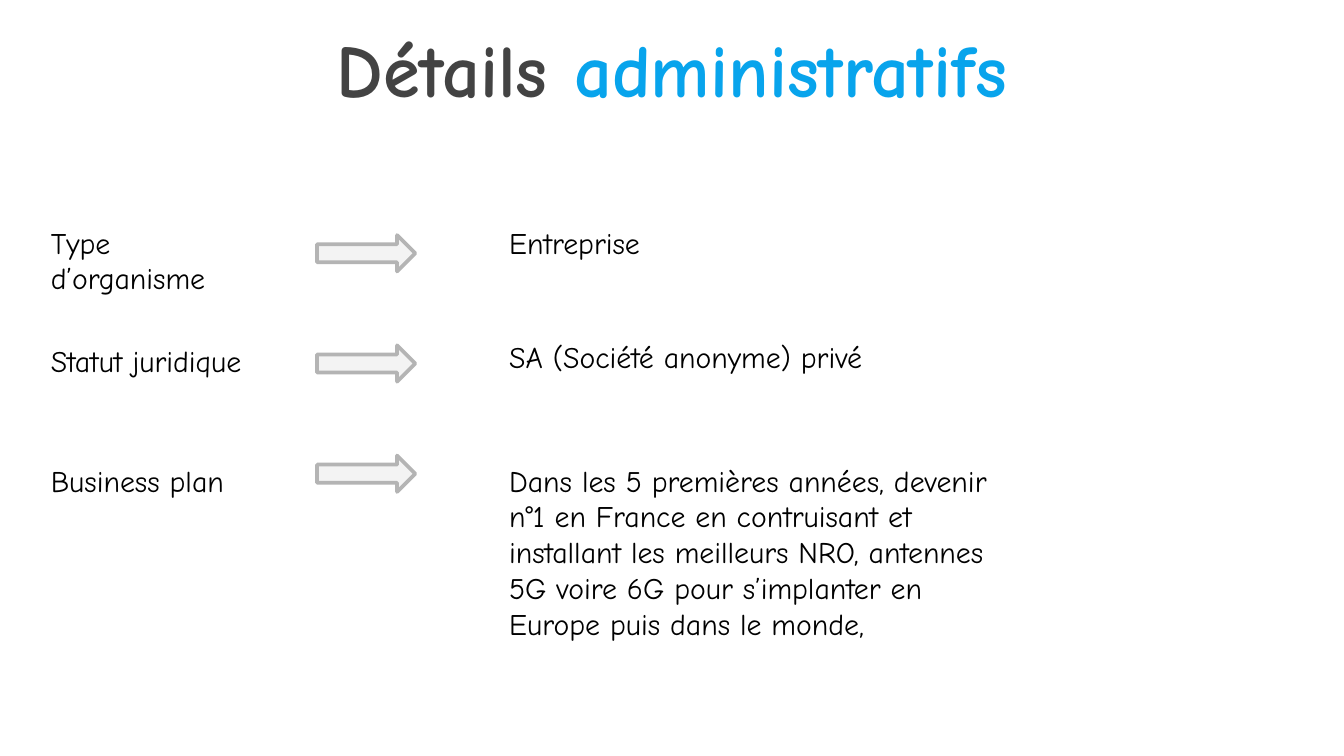
from dataclasses import dataclass

import pptx
import pptx.dml.color
import pptx.enum.shapes
import pptx.enum.text
import pptx.util

Inches = pptx.util.Inches
Pt = pptx.util.Pt
RGB = pptx.dml.color.RGBColor.from_string

# Content: title runs, then (label, label top, value, value top, width, height)
TITLE = [("Détails ", "title"), ("administratifs", "accent")]
ROWS = [
    ("Type d’organisme", 1.62, "Entreprise", 1.62, 2.07, 0.37),
    ("Statut juridique", 2.5, "SA (Société anonyme) privé", 2.47, 3.21, 0.37),
    ("Business plan", 3.39,
     "Dans les 5 premières années, devenir n°1 en France en contruisant et "
     "installant les meilleurs NRO, antennes 5G voire 6G pour s’implanter en "
     "Europe puis dans le monde,", 3.39, 3.83, 1.18),
]


@dataclass(frozen=True)
class Theme:
    font: str = "Comic Neue"
    title: str = "434343"
    accent: str = "08A4EC"
    text: str = "000000"
    arrow_fill: str = "F3F3F3"
    arrow_line: str = "B4B4B4"
    title_size: int = 40
    text_size: int = 16


THEME = Theme()
LABEL_X, LABEL_W, LABEL_H = 0.28, 1.74, 0.37
ARROW_X, ARROW_W, ARROW_H = 2.36, 0.73, 0.27
ARROW_TOP, ARROW_STEP = 1.75, 0.82
VALUE_X = 3.69


def add_text(slide, box, runs, size):
    sp = slide.shapes.add_textbox(*map(Inches, box))
    tf = sp.text_frame
    tf.word_wrap = True
    p = tf.paragraphs[0]
    p.font.name = THEME.font
    p.font.size = Pt(size)
    for text, color in runs:
        r = p.add_run()
        r.text = text
        r.font.color.rgb = RGB(getattr(THEME, color))
    return tf


def add_body(slide, box, text):
    tf = add_text(slide, box, [(text, "text")], THEME.text_size)
    tf.auto_size = pptx.enum.text.MSO_AUTO_SIZE.SHAPE_TO_FIT_TEXT


def add_arrow(slide, top):
    sp = slide.shapes.add_shape(
        pptx.enum.shapes.MSO_SHAPE.RIGHT_ARROW,
        *map(Inches, (ARROW_X, top, ARROW_W, ARROW_H)))
    sp.shadow.inherit = False
    sp.fill.solid()
    sp.fill.fore_color.rgb = RGB(THEME.arrow_fill)
    sp.line.color.rgb = RGB(THEME.arrow_line)
    sp.line.width = Pt(2)


def main():
    prs = pptx.Presentation()
    prs.slide_width = Inches(10)
    prs.slide_height = prs.slide_width * 9 // 16
    slide = prs.slides.add_slide(prs.slide_layouts[6])

    # Title
    tf = add_text(slide, (2.15, -0.01, 5.7, 1.03), TITLE, THEME.title_size)
    tf.vertical_anchor = pptx.enum.text.MSO_ANCHOR.MIDDLE
    tf.margin_top = tf.margin_bottom = Inches(0.1)
    tf.paragraphs[0].alignment = pptx.enum.text.PP_ALIGN.CENTER
    tf.paragraphs[0].font.bold = True

    # Rows: label, arrow, value
    for i, (label, label_y, value, value_y, width, height) in enumerate(ROWS):
        add_body(slide, (LABEL_X, label_y, LABEL_W, LABEL_H), label)
        add_arrow(slide, ARROW_TOP + i * ARROW_STEP)
        add_body(slide, (VALUE_X, value_y, width, height), value)

    prs.save("out.pptx")


if __name__ == "__main__":
    main()
